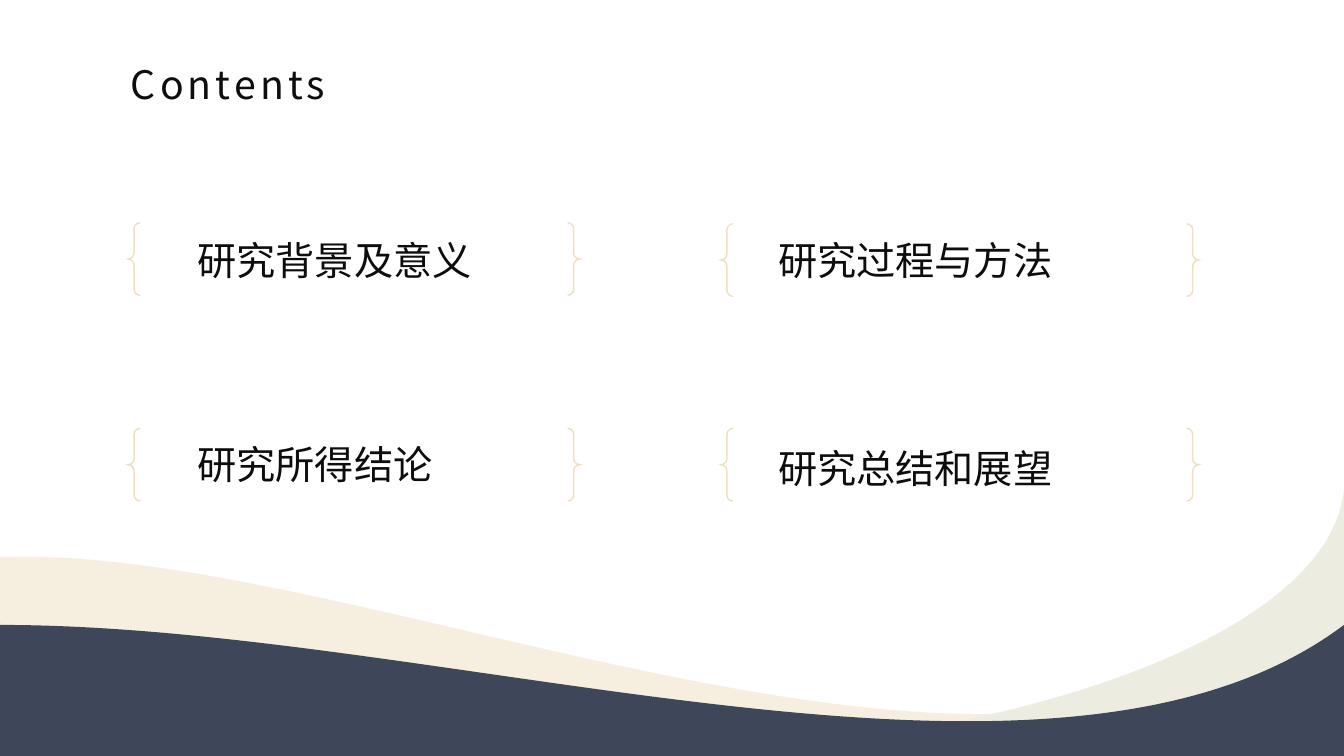
import pptx
import pptx.util
import pptx.dml.color
import pptx.enum.shapes
import pptx.enum.text
import pptx.oxml.ns
import lxml.etree

Inches = pptx.util.Inches
qn = pptx.oxml.ns.qn
theme = {
    "font": "Noto Sans CJK SC",
    "size": 28,
    "ink": "0D0D0D",
    "sand": "EEDFBF",
    "sage": "ECEDE0",
    "navy": "3E465A",
}
wide, high = 13.33, 7.5


def color(name):
    return pptx.dml.color.RGBColor.from_string(theme[name])


def label(text, left, top, width):
    """Add a line of text and return its run properties."""
    box = slide.shapes.add_textbox(
        Inches(left), Inches(top), Inches(width), Inches(0.57))
    frame = box.text_frame
    frame.word_wrap = True
    frame.auto_size = pptx.enum.text.MSO_AUTO_SIZE.SHAPE_TO_FIT_TEXT
    frame.text = text
    run = frame.paragraphs[0].runs[0]
    run.font.name = theme["font"]
    run.font.size = pptx.util.Pt(theme["size"])
    run.font.color.rgb = color("ink")
    props = run._r.get_or_add_rPr()
    east = lxml.etree.SubElement(props, qn("a:ea"))
    east.set("typeface", theme["font"])
    return props


deck = pptx.Presentation()
deck.slide_width = Inches(wide)
deck.slide_height = Inches(high)
slide = deck.slides.add_slide(deck.slide_layouts[6])

# Waves: colour, opacity in percent, four Bezier points, closing corners
waves = [
    ("sand", 48, [(0, 5.53), (3.75, 5.36), (10.92, 9.11), (wide, 5.53)],
     [(wide, 7.27), (0, 7.27)]),
    ("sage", 100, [(wide, 4.85), (13.1, 7.33), (4.24, 8.65), (0.03, 6.19)],
     [(0, 6.17), (0, 7.43), (wide, 7.43)]),
    ("navy", 100, [(0, 6.2), (4.45, 6.2), (10.47, 8.35), (wide, 6.2)],
     [(wide, high), (0, high)]),
]
for name, alpha, bend, corners in waves:
    points = [(Inches(x), Inches(y)) for x, y in [bend[0], bend[3]] + corners]
    outline = slide.shapes.build_freeform(*points[0])
    outline.add_line_segments(points[1:], close=True)
    wave = outline.convert_to_shape()
    wave.shadow.inherit = False
    wave.fill.solid()
    wave.fill.fore_color.rgb = color(name)
    wave.line.fill.background()
    # Bend the first edge into a curve
    edge = next(wave._element.iter(qn("a:lnTo")))
    curve = lxml.etree.Element(qn("a:cubicBezTo"))
    for x, y in bend[1:]:
        point = lxml.etree.SubElement(curve, qn("a:pt"))
        point.set("x", str(Inches(x) - wave.left))
        point.set("y", str(Inches(y) - wave.top))
    edge.getparent().replace(edge, curve)
    if alpha < 100:
        tint = wave._element.spPr.find(qn("a:solidFill"))[0]
        lxml.etree.SubElement(tint, qn("a:alpha")).set("val", str(alpha * 1000))

title = label("Contents", 1.2, 0.55, 2.86)
title.set("spc", "300")

topics = [
    ("研究背景及意义", 1.86, 2.3),
    ("研究过程与方法", 7.62, 2.3),
    ("研究所得结论", 1.86, 4.32),
    ("研究总结和展望", 7.62, 4.36),
]
for text, left, top in topics:
    label(text, left, top, 3.38)

braces = [
    (1.27, 2.21, 4.48),
    (1.27, 4.25, 4.48),
    (7.15, 4.25, 4.74),
    (7.15, 2.22, 4.74),
]
for left, top, width in braces:
    brace = slide.shapes.add_shape(
        pptx.enum.shapes.MSO_SHAPE.DOUBLE_BRACE,
        Inches(left), Inches(top), Inches(width), Inches(0.72))
    brace.shadow.inherit = False
    brace.fill.background()
    brace.line.color.rgb = color("sand")
    brace.line.width = pptx.util.Pt(1)
    stroke = brace._element.spPr.find(qn("a:ln"))
    lxml.etree.SubElement(stroke, qn("a:miter")).set("lim", "800000")

deck.save("out.pptx")
